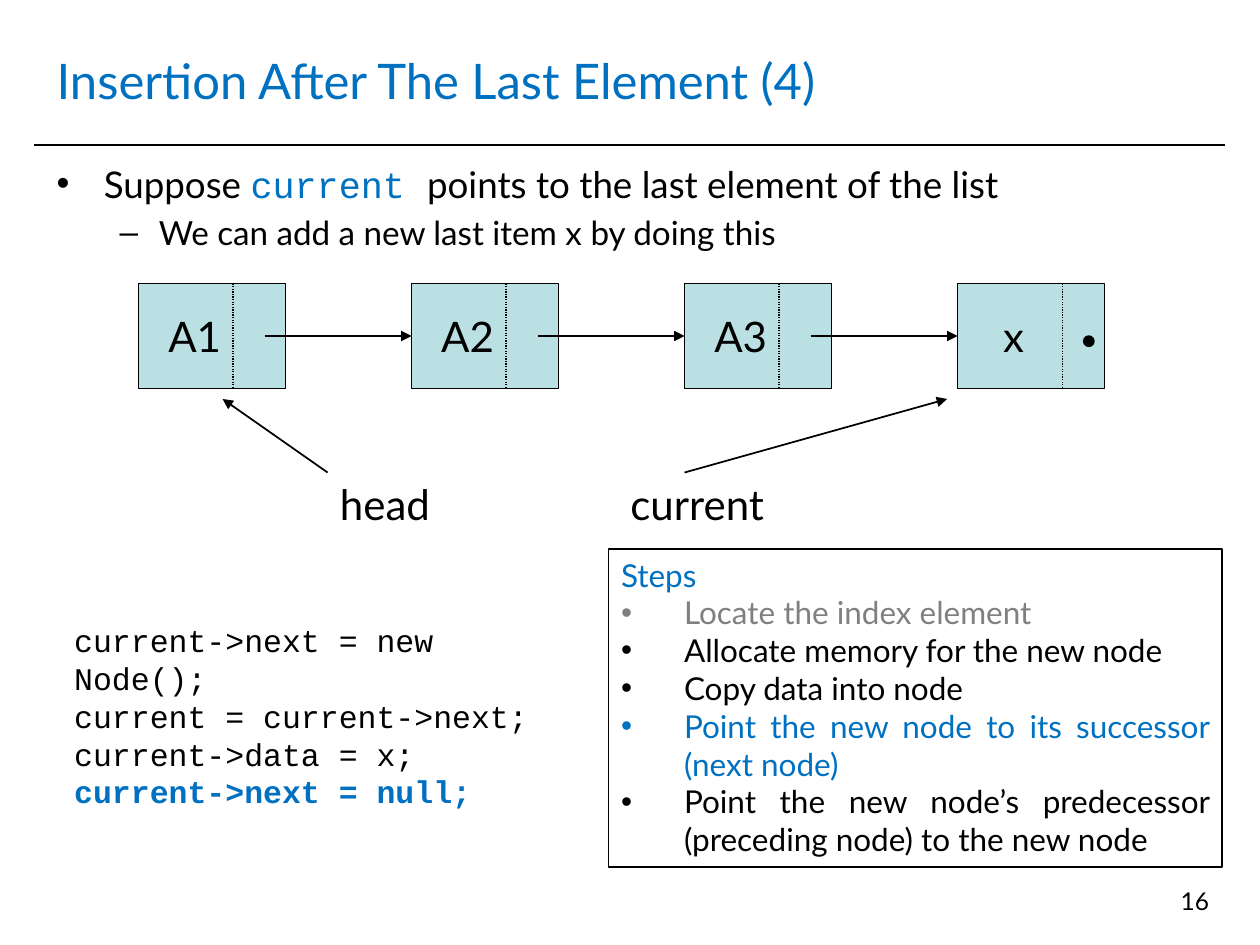
from lxml.etree import SubElement
from pptx import Presentation
from pptx.dml.color import RGBColor
from pptx.enum.dml import MSO_LINE
from pptx.enum.shapes import MSO_CONNECTOR, MSO_SHAPE
from pptx.enum.text import MSO_ANCHOR, PP_ALIGN
from pptx.oxml.ns import qn
from pptx.util import Pt

BLACK = RGBColor(0x00, 0x00, 0x00)
BLUE = RGBColor(0x00, 0x70, 0xC0)
GRAY = RGBColor(0x80, 0x80, 0x80)
TEAL = RGBColor(0xBB, 0xE0, 0xE3)
SANS, MONO = "Lato", "Courier New"


def add_span(para, text, size, color=BLACK, name=SANS, bold=False):
    """Append a formatted run to a paragraph."""
    span = para.add_run()
    span.text = text
    span.font.color.rgb = color
    for key, value in {"size": Pt(size), "name": name, "bold": bold}.items():
        setattr(span.font, key, value)


def next_para(frame, index):
    """Return the first paragraph of a frame, or a new one after it."""
    return frame.paragraphs[0] if index == 0 else frame.add_paragraph()


def add_bullet(para, mark, margin, hanging):
    """Give a paragraph a bullet character and a hanging indent."""
    props = para._p.get_or_add_pPr()
    props.set("marL", str(Pt(margin)))
    props.set("indent", str(-Pt(hanging)))
    SubElement(props, qn("a:buFont"), typeface="Arial")
    SubElement(props, qn("a:buChar"), char=mark)


def add_text_box(page, left, top, width, height, wrap=True):
    """Add an empty text box and return its frame."""
    box = page.shapes.add_textbox(Pt(left), Pt(top), Pt(width), Pt(height))
    box.text_frame.word_wrap = wrap
    return box.text_frame


def add_panel(page, kind, left, top, width, height, fill=None, weight=0.75):
    """Add a black-outlined shape, filled only when a colour is given."""
    shape = page.shapes.add_shape(kind, Pt(left), Pt(top), Pt(width), Pt(height))
    shape.shadow.inherit = False
    if fill is None:
        shape.fill.background()
    else:
        shape.fill.solid()
        shape.fill.fore_color.rgb = fill
    shape.line.color.rgb = BLACK
    shape.line.width = Pt(weight)
    return shape


def add_line(page, start, end, weight=1, arrow=False):
    """Add a straight black line, optionally with an arrowhead at its end."""
    line = page.shapes.add_connector(
        MSO_CONNECTOR.STRAIGHT, *(Pt(value) for value in (*start, *end)))
    line.line.color.rgb = BLACK
    line.line.width = Pt(weight)
    if arrow:
        SubElement(line.line._get_or_add_ln(), qn("a:tailEnd"), type="triangle")
    SubElement(line._element.spPr, qn("a:effectLst"))
    return line


def add_heading(page, left, top, width, height):
    """Place the title and the rule under it."""
    title = page.shapes.title
    bounds = {"left": left, "top": top, "width": width, "height": height}
    for key, value in bounds.items():
        setattr(title, key, Pt(value))
    frame = title.text_frame
    frame.vertical_anchor = MSO_ANCHOR.MIDDLE
    para = frame.paragraphs[0]
    para.alignment = PP_ALIGN.LEFT
    add_span(para, "Insertion After The Last Element (4)", 28, BLUE)
    add_line(page, (left - 5.6, top + 67.7), (left + width + 6, top + 67.7))


def add_intro(page, left, top, width, height):
    """Place the two introductory bullets."""
    frame = add_text_box(page, left, top, width, height)
    para = next_para(frame, 0)
    add_bullet(para, "•", 27, 27)
    add_span(para, "Suppose ", 21)
    add_span(para, "current ", 21, BLUE, MONO)
    add_span(para, "points to the last element of the list", 21)
    para = next_para(frame, 1)
    para.space_before = Pt(4)
    add_bullet(para, "–", 58.5, 22.5)
    add_span(para, "We can add a new last item x by doing this", 19)


def add_node(page, left, top, width, height, label, split):
    """Draw a list node with a dotted divider and return its rectangle."""
    node = add_panel(page, MSO_SHAPE.RECTANGLE, left, top, width, height, TEAL)
    frame = node.text_frame
    frame.word_wrap = False
    frame.vertical_anchor = MSO_ANCHOR.MIDDLE
    frame.margin_right = Pt(27)
    para = frame.paragraphs[0]
    para.alignment = PP_ALIGN.CENTER
    add_span(para, label, 24)
    divider = add_line(page, (left + split, top), (left + split, top + height), 0.75)
    divider.line.dash_style = MSO_LINE.ROUND_DOT
    return node


def add_linked_list(page, left, top, width, height):
    """Draw the chained nodes and the two named pointers in the given box."""
    labels = ["A1", "A2", "A3", "x"]
    node_width, node_height = 84, 60
    pitch = (width - node_width) / (len(labels) - 1)
    middle = top + node_height / 2
    lefts = [left + index * pitch for index in range(len(labels))]
    nodes = [
        add_node(page, x, top, node_width, node_height, label,
                 60 if label == labels[-1] else 54)
        for x, label in zip(lefts, labels)]
    for x, target_left, target in zip(lefts, lefts[1:], nodes[1:]):
        link = add_line(page, (x + 72, middle), (target_left, middle), arrow=True)
        link.end_connect(target, 1)
    add_panel(page, MSO_SHAPE.OVAL, lefts[-1] + 72, middle, 6, 6, BLACK)

    label_top = top + height - 36
    tip = top + node_height + 6
    pointers = [
        ("head", lefts[1] - 48, 67, lefts[1] - 48, lefts[0] + 48),
        ("current", lefts[2] - 38, 91, lefts[2], lefts[3] - 6)]
    for label, x, label_width, tail_x, tip_x in pointers:
        frame = add_text_box(page, x, label_top, label_width, 36, wrap=False)
        add_span(frame.paragraphs[0], label, 24)
        add_line(page, (tail_x, label_top), (tip_x, tip), arrow=True)


def add_code(page, left, top, width, height):
    """Place the code, with its last statement highlighted."""
    lines = [
        "current->next = new Node();",
        "current = current->next;",
        "current->data = x;",
        "current->next = null;"]
    frame = add_text_box(page, left, top, width, height)
    for index, line in enumerate(lines):
        active = line == lines[-1]
        add_span(next_para(frame, index), line, 18, BLUE if active else BLACK, MONO, active)


def add_steps(page, left, top, width, height):
    """Place the framed list of steps."""
    steps = [
        ("Locate the index element", GRAY),
        ("Allocate memory for the new node", BLACK),
        ("Copy data into node", BLACK),
        ("Point the new node to its successor (next node)", BLUE),
        ("Point the new node’s predecessor (preceding node) to the new node", BLACK)]
    panel = add_panel(page, MSO_SHAPE.RECTANGLE, left, top, width, height, weight=1)
    frame = panel.text_frame
    frame.word_wrap = True
    frame.vertical_anchor = MSO_ANCHOR.TOP
    para = next_para(frame, 0)
    para.alignment = PP_ALIGN.LEFT
    add_span(para, "Steps", 18, BLUE)
    for index, (step, color) in enumerate(steps, 1):
        para = next_para(frame, index)
        para.alignment = PP_ALIGN.JUSTIFY
        add_bullet(para, "•", 36, 36)
        add_span(para, step, 18, color)


def add_page_number(page, left, top, width, height):
    """Place the page number."""
    para = add_text_box(page, left, top, width, height).paragraphs[0]
    para.alignment = PP_ALIGN.RIGHT
    add_span(para, "16", 14)


def main():
    """Build the slide and save the deck."""
    deck = Presentation()
    deck.slide_width, deck.slide_height = Pt(720), Pt(540)
    page = deck.slides.add_slide(deck.slide_layouts[5])
    add_heading(page, 25.2, 15.1, 669, 61.2)
    add_intro(page, 25.2, 88.6, 669, 65.5)
    add_page_number(page, 530, 502.6, 168, 37.4)
    add_code(page, 35.3, 351.4, 289.4, 116.6)
    add_steps(page, 347.8, 313.9, 350.6, 181.4)
    add_linked_list(page, 79.2, 162, 552, 144)
    deck.save("out.pptx")


if __name__ == "__main__":
    main()
